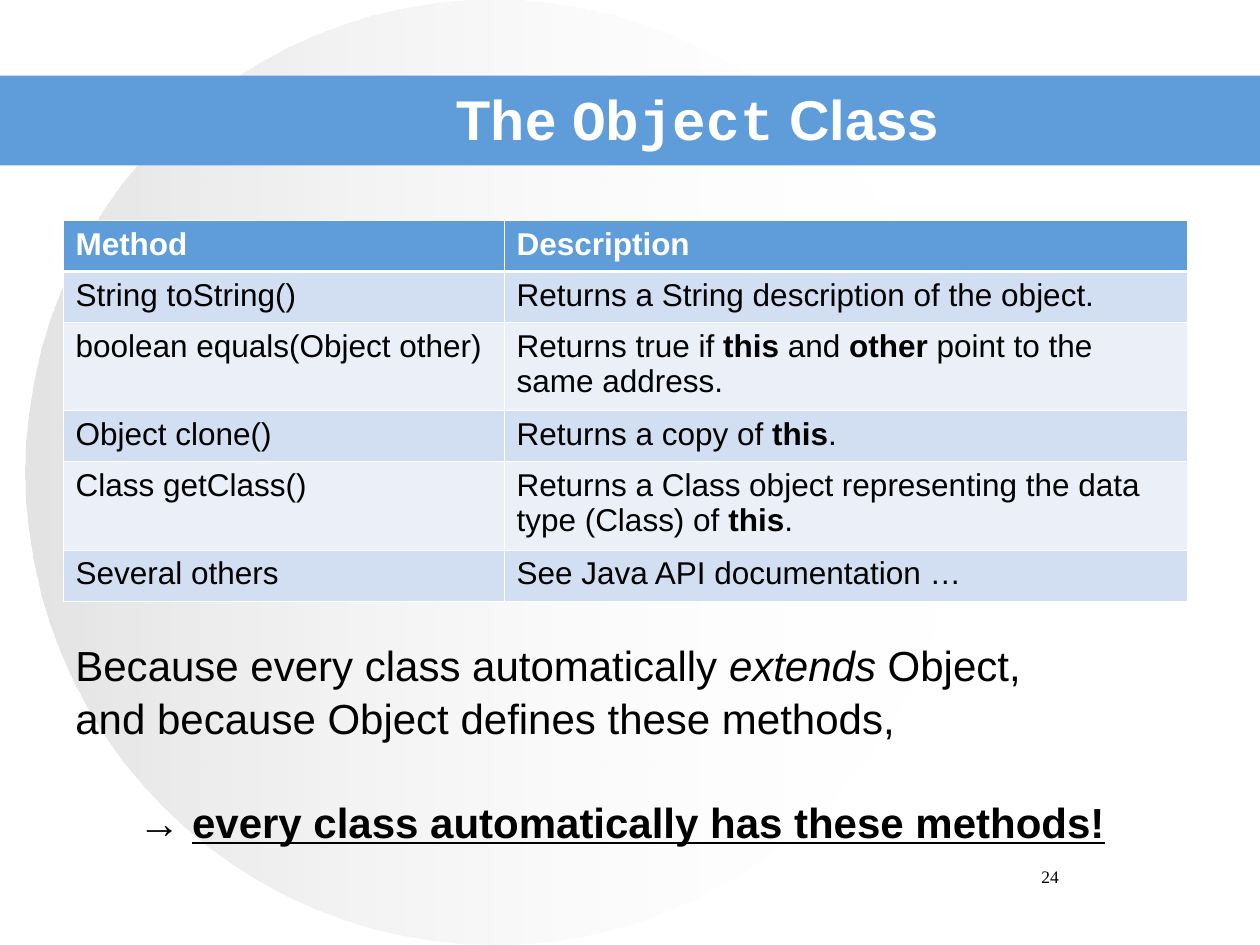
from lxml.etree import SubElement
from pptx import Presentation
from pptx.dml.color import RGBColor
from pptx.enum.shapes import MSO_SHAPE
from pptx.enum.text import MSO_ANCHOR, PP_ALIGN
from pptx.oxml.ns import qn
from pptx.util import Inches, Pt

COLORS = {
    "band": "5E9CDA",
    "row_dark": "D2DEF1",
    "row_light": "EAEFF8",
    "circle": "C0C0C0",
    "white": "FFFFFF",
    "black": "000000",
}
WIDTH, HEIGHT = 10, 7.5
MARGIN, CONTENT_WIDTH = 0.05, 0.892

METHODS = [
    ("Method", "Description"),
    ("String toString()", "Returns a String description of the object."),
    ("boolean equals(Object other)",
     ["Returns true if ", ("this", {"bold": True}), " and ",
      ("other", {"bold": True}), " point to the same address."]),
    ("Object clone()", ["Returns a copy of ", ("this", {"bold": True}), "."]),
    ("Class getClass()",
     ["Returns a Class object representing the data type (Class) of ",
      ("this", {"bold": True}), "."]),
    ("Several others", "See Java API documentation …"),
]
CONCLUSION = [
    (["Because every class automatically ", ("extends", {"italic": True}),
      " Object,"], {}),
    ("and because Object defines these methods,", {}),
    (["→ ", ("every class automatically has these methods!",
             {"bold": True, "underline": True})],
     {"indent": 0.5, "space_before": 29}),
]


def rgb(name):
    return RGBColor.from_string(COLORS[name])


def write(paragraph, content, size=18, font="Arial", color="black", align=None,
          indent=0, space_before=None, line_spacing=None, **emphasis):
    """Fill a paragraph from a string or a list of strings and (string, format) pairs."""
    if align is not None:
        paragraph.alignment = align
    if space_before:
        paragraph.space_before = Pt(space_before)
    if line_spacing:
        paragraph.line_spacing = line_spacing
    if indent:
        paragraph.level = 1
        paragraph._p.get_or_add_pPr().set("marL", str(Inches(indent)))
    for part in [content] if isinstance(content, str) else content:
        words, own = (part, {}) if isinstance(part, str) else part
        style = {"name": font, **emphasis, **own}
        run = paragraph.add_run()
        run.text = words
        run.font.size = Pt(size)
        run.font.color.rgb = rgb(color)
        for key, value in style.items():
            setattr(run.font, key, value)


class Deck:
    def __init__(self):
        self.presentation = Presentation()
        self.presentation.slide_width = Inches(WIDTH)
        self.presentation.slide_height = Inches(HEIGHT)
        self.slide = self.presentation.slides.add_slide(
            self.presentation.slide_layouts[5])

    def box(self, left, top, width, height):
        """Turn shares of the slide's size into lengths."""
        return (Inches(left * WIDTH), Inches(top * HEIGHT),
                Inches(width * WIDTH), Inches(height * HEIGHT))

    def shape(self, kind, *place):
        shape = self.slide.shapes.add_shape(kind, *self.box(*place))
        shape.shadow.inherit = False
        shape.line.fill.background()
        return shape

    def band(self, *place):
        band = self.shape(MSO_SHAPE.RECTANGLE, *place)
        band.fill.solid()
        band.fill.fore_color.rgb = rgb("band")

    def fading_circle(self, *place):
        circle = self.shape(MSO_SHAPE.OVAL, *place)
        circle.fill.gradient()
        circle.fill.gradient_angle = 0
        for stop, color in zip(circle.fill.gradient_stops, ("circle", "white")):
            stop.color.rgb = rgb(color)
        stops = circle._element.spPr.iter(qn("a:srgbClr"))
        for color, opacity in zip(stops, (44, 0)):
            SubElement(color, qn("a:alpha"), val=str(opacity * 1000))

    def title(self, content, *place):
        title = self.slide.shapes.title
        title.left, title.top, title.width, title.height = self.box(*place)
        self.slide.shapes._spTree.append(title._element)  # in front of the band
        frame = title.text_frame
        frame.margin_left = frame.margin_right = 0
        frame.margin_top = frame.margin_bottom = 0
        frame.vertical_anchor = MSO_ANCHOR.MIDDLE
        write(frame.paragraphs[0], content, size=32, color="white", bold=True,
              align=PP_ALIGN.CENTER)

    def text(self, paragraphs, *place, **style):
        frame = self.slide.shapes.add_textbox(*self.box(*place)).text_frame
        frame.word_wrap = True
        for number, (content, own) in enumerate(paragraphs):
            paragraph = frame.add_paragraph() if number else frame.paragraphs[0]
            write(paragraph, content, **{**style, **own})

    def table(self, rows, widths, heights, *place):
        table = self.slide.shapes.add_table(
            len(rows), len(widths), *self.box(*place)).table
        for column, width in zip(table.columns, widths):
            column.width = Inches(width * WIDTH)
        for row, height in zip(table.rows, heights):
            row.height = Inches(height * HEIGHT)
        for r, row in enumerate(rows):
            header = r == 0
            fill = "band" if header else ("row_light", "row_dark")[r % 2]
            for c, content in enumerate(row):
                cell = table.cell(r, c)
                write(cell.text_frame.paragraphs[0], content, bold=header,
                      color="white" if header else "black")
                self.borders(cell, top=1.47 if r == 1 else 0.45,
                             bottom=1.47 if header else 0.45)
                cell.fill.solid()
                cell.fill.fore_color.rgb = rgb(fill)

    def borders(self, cell, top, bottom):
        properties = cell._tc.get_or_add_tcPr()
        sides = {"lnL": 0.45, "lnR": 0.45, "lnT": top, "lnB": bottom}
        for side, width in sides.items():
            line = SubElement(properties, qn(f"a:{side}"), w=str(Pt(width)))
            paint = SubElement(line, qn("a:solidFill"))
            SubElement(paint, qn("a:srgbClr"), val=COLORS["white"])


def main():
    deck = Deck()
    deck.fading_circle(0.02, 0, 0.744, 1)
    deck.band(0, 0.08, 1, 0.095)
    deck.title(["The ", ("Object", {"name": "Courier New"}), " Class"],
               0.225, 0.09, 0.658, 0.07)
    single, double = 0.405 / HEIGHT, 0.7 / HEIGHT
    deck.table(METHODS, (0.35, 0.542),
               (single, single, double, single, double, single),
               MARGIN, 1.75 / HEIGHT, CONTENT_WIDTH, 3.02 / HEIGHT)
    deck.text([("24", {})], 0.717, 0.91, 0.233, 0.07, size=10,
              font="Times New Roman", align=PP_ALIGN.CENTER)
    deck.text(CONCLUSION, MARGIN, 5.01 / HEIGHT, CONTENT_WIDTH, 1.7 / HEIGHT,
              size=24, line_spacing=1.05)
    deck.presentation.save("out.pptx")


if __name__ == "__main__":
    main()
